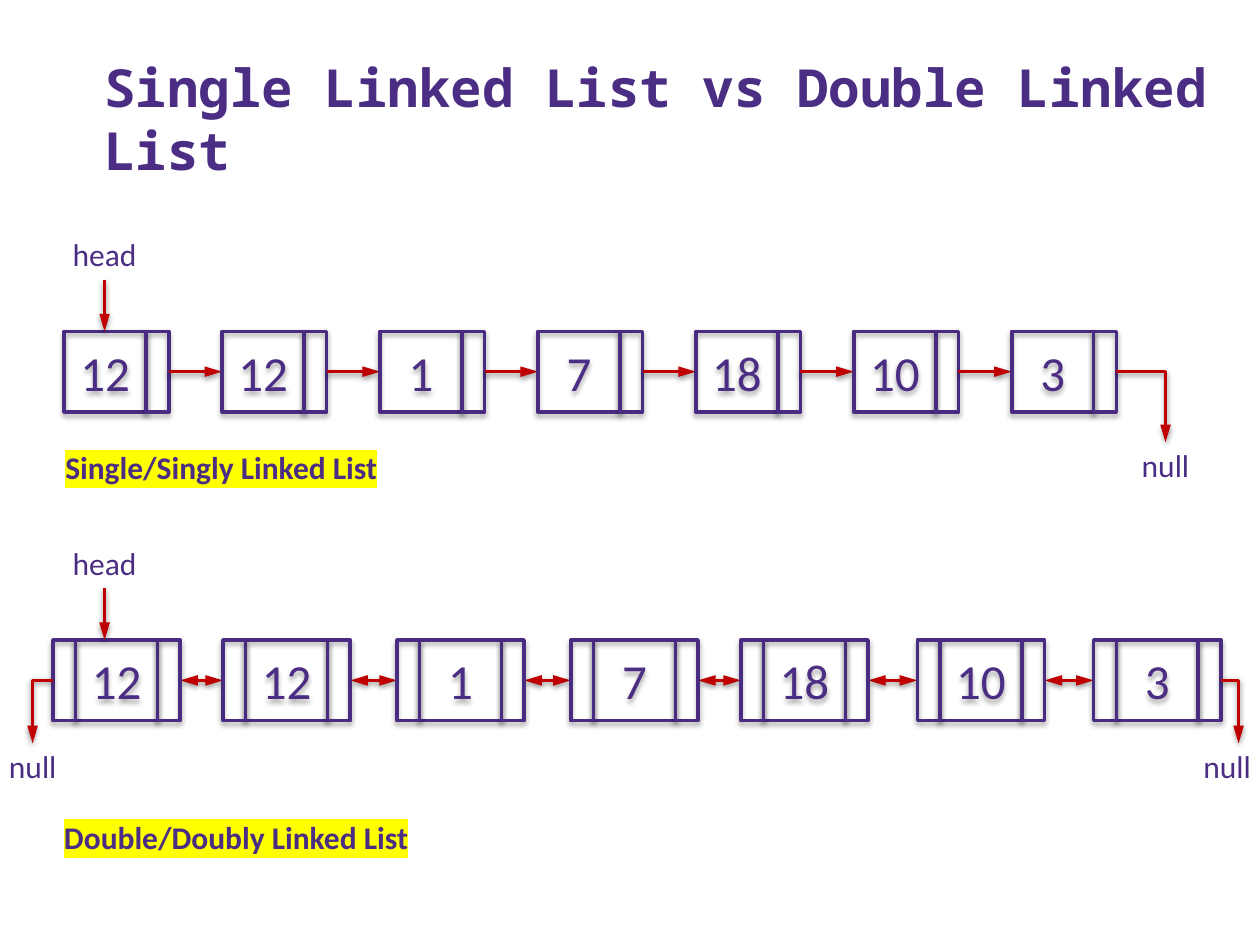
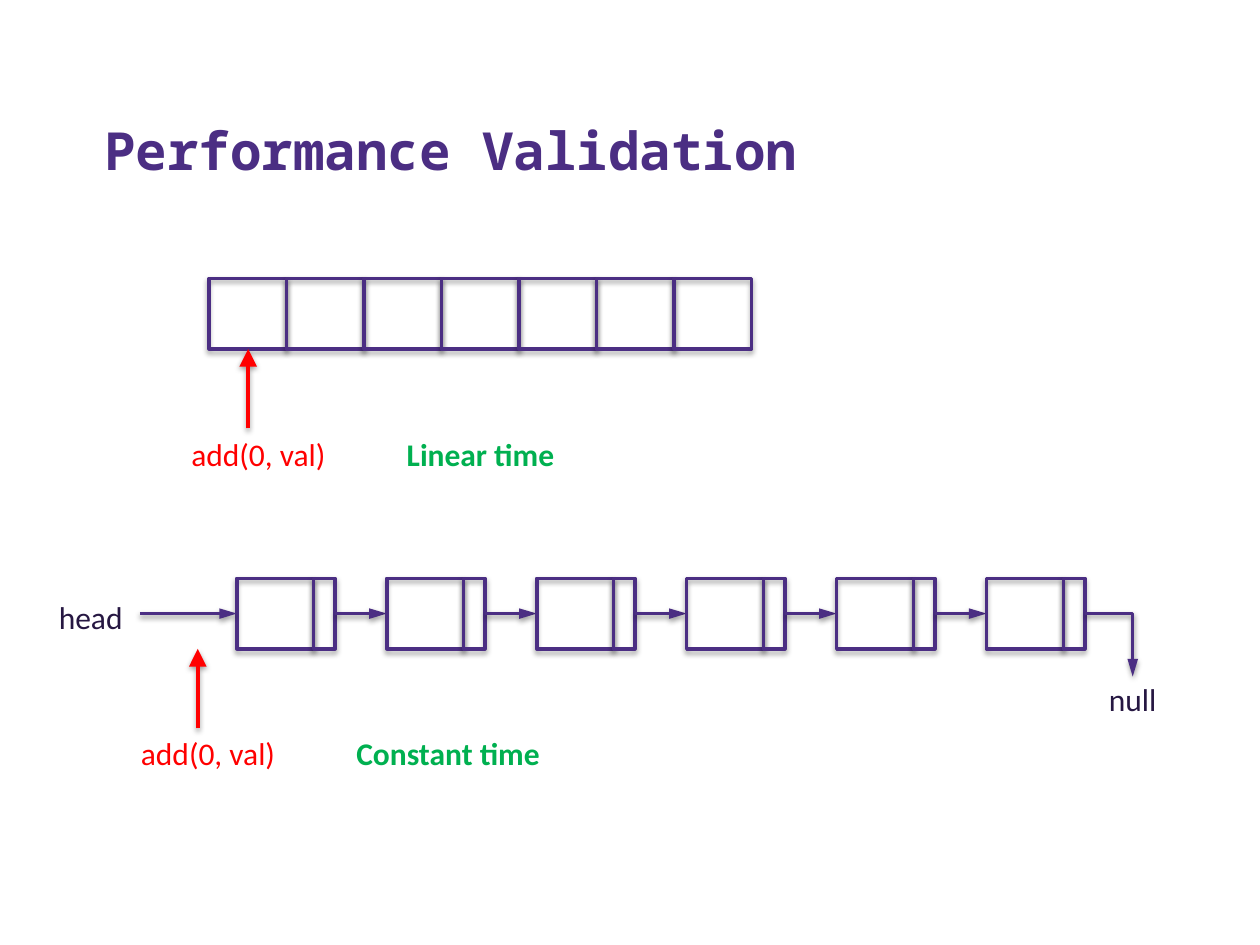
from lxml.etree import SubElement
from pptx import Presentation
from pptx.dml.color import RGBColor
from pptx.enum.shapes import MSO_CONNECTOR, MSO_SHAPE
from pptx.enum.text import MSO_ANCHOR, PP_ALIGN
from pptx.oxml.ns import qn
from pptx.util import Inches, Pt

COLORS = {
    "purple": "4B2E83",
    "node": "492B82",
    "dark": "261742",
    "link": "C00000",
    "red": "FF0000",
    "green": "00B050",
    "highlight": "FFFF00",
    "shadow": "000000",
}
TITLE_FONT = {"name": "Noto Sans Mono", "size": Pt(30), "bold": True}
LABEL_FONT = {"name": "Calibri", "size": Pt(18), "bold": False}
CAPTION_FONT = {**LABEL_FONT, "bold": True}
VALUE_FONT = {**LABEL_FONT, "size": Pt(28)}
TITLE_FRAME = {
    "word_wrap": True,
    "vertical_anchor": MSO_ANCHOR.BOTTOM,
    "margin_right": 0,
}
CENTERED_FRAME = {"word_wrap": False, "margin_left": 0, "margin_right": 0}
VALUE_FRAME = {**CENTERED_FRAME, "vertical_anchor": MSO_ANCHOR.MIDDLE}
LEFT = {"alignment": PP_ALIGN.LEFT}
CENTER = {"alignment": PP_ALIGN.CENTER}
VALUES = ["12", "12", "1", "7", "18", "10", "3"]


def set_attributes(target, values):
    for name, value in values.items():
        setattr(target, name, value)


def rgb(color):
    return RGBColor.from_string(COLORS[color])


def write(shape, text, font, color, frame, paragraph_format):
    set_attributes(shape.text_frame, frame)
    paragraph = shape.text_frame.paragraphs[0]
    set_attributes(paragraph, paragraph_format)
    run = paragraph.add_run()
    run.text = text
    set_attributes(run.font, font)
    run.font.color.rgb = rgb(color)
    return run


def add_text(shapes, box, text, font, color, frame, paragraph_format):
    textbox = shapes.add_textbox(*map(Inches, box))
    return write(textbox, text, font, color, frame, paragraph_format)


def add_title(slide, text):
    add_text(slide.shapes, (0.73, 0.41, 8.95, 1.08), text, TITLE_FONT, "purple",
             TITLE_FRAME, LEFT)


def add_label(shapes, center, top, text, color):
    add_text(shapes, (center - 0.26, top, 0.52, 0.4), text, LABEL_FONT, color,
             CENTERED_FRAME, CENTER)


def add_caption(shapes, left, top, text, color, font=CAPTION_FONT):
    return add_text(shapes, (left, top, 3, 0.4), text, font, color,
                    {"word_wrap": True}, LEFT)


def add_highlighted_caption(shapes, left, top, text):
    run = add_caption(shapes, left, top, text, "purple")
    properties = run.font._element
    highlight = SubElement(properties, qn("a:highlight"))
    SubElement(highlight, qn("a:srgbClr"), val=COLORS["highlight"])
    properties.find(qn("a:solidFill")).addnext(highlight)


def outline(shape, color, distance, opacity):
    shape.line.color.rgb = rgb(color)
    shape.line.width = Pt(2)
    effects = SubElement(shape.element.spPr, qn("a:effectLst"))
    shadow = SubElement(effects, qn("a:outerShdw"), blurRad=str(Pt(3.1)),
                        dist=str(Pt(distance)), dir="5400000", rotWithShape="0")
    shadow_color = SubElement(shadow, qn("a:srgbClr"), val=COLORS["shadow"])
    SubElement(shadow_color, qn("a:alpha"), val=str(opacity * 1000))


def add_cell(shapes, left, top, width, height, color, text=""):
    cell = shapes.add_shape(MSO_SHAPE.RECTANGLE, *map(Inches, (left, top, width, height)))
    cell.fill.background()
    outline(cell, color, 1.8, 35)
    if text:
        write(cell, text, VALUE_FONT, "purple", VALUE_FRAME, CENTER)


def add_arrow(shapes, start, end, color, ends=("tailEnd",), head_width="med",
              kind=MSO_CONNECTOR.STRAIGHT):
    arrow = shapes.add_connector(kind, *map(Inches, (*start, *end)))
    outline(arrow, color, 1.6, 38)
    line = arrow.element.spPr.find(qn("a:ln"))
    for line_end in ends:
        SubElement(line, qn(f"a:{line_end}"), type="triangle", w=head_width, len="lg")
    return arrow


def add_null(shapes, left, top, run, drop, arrow_color, text_color, label_shift=0):
    end_left, end_top = left + run, top + drop
    arrow = add_arrow(shapes, (left, top), (end_left, end_top), arrow_color,
                      kind=MSO_CONNECTOR.ELBOW)
    arrow.element.spPr.find(qn("a:prstGeom")).set("prst", "bentConnector2")
    add_label(shapes, end_left + label_shift, end_top - 0.02, "null", text_color)


def add_head_above(shapes, center, top):
    add_label(shapes, center, top - 0.81, "head", "purple")
    add_arrow(shapes, (center, top - 0.41), (center, top), "link")


def draw_single_list(shapes, left, top, values, pitch, cell, pointer, height,
                     node_color, arrow_color):
    middle = top + height / 2
    for index, value in enumerate(values):
        node_left = left + index * pitch
        pointer_left = node_left + cell
        add_cell(shapes, node_left, top, cell, height, node_color, value)
        add_cell(shapes, pointer_left, top, pointer, height, node_color)
        if index < len(values) - 1:
            add_arrow(shapes, (pointer_left + pointer, middle),
                      (node_left + pitch, middle), arrow_color)
    return pointer_left + pointer, middle


def draw_double_list(shapes, top, lefts, values):
    cell, pointer, height = 0.65, 0.18, 0.64
    width = cell + 2 * pointer
    middle = top + height / 2
    for left, following in zip(lefts, lefts[1:]):
        add_arrow(shapes, (left + width, middle), (following, middle), "link",
                  ends=("headEnd", "tailEnd"))
    for left, value in zip(lefts, values):
        add_cell(shapes, left + pointer, top, cell, height, "node", value)
        for pointer_left in (left, left + pointer + cell):
            add_cell(shapes, pointer_left, top, pointer, height, "node")
    add_head_above(shapes, lefts[0] + 0.41, top)
    add_null(shapes, lefts[0], middle, -0.16, 0.5, "link", "purple")
    add_null(shapes, lefts[-1] + width, middle, 0.14, 0.5, "link", "purple",
             label_shift=-0.09)


def draw_array(shapes, left, top, count):
    pitch = 0.615
    for index in range(count):
        add_cell(shapes, left + index * pitch, top, pitch, 0.56, "purple")


def draw_insertion(shapes, left, top, cost):
    center, text_top = left + 0.55, top + 0.63
    add_arrow(shapes, (center, text_top), (center, top), "red", head_width="lg")
    add_caption(shapes, left, text_top, "add(0, val)", "red", LABEL_FONT)
    add_caption(shapes, left + 1.71, text_top, cost, "green")


def build_comparison_slide(slide):
    add_title(slide, "Single Linked List vs Double Linked List")
    single = slide.shapes.add_group_shape().shapes
    left, top, last_left = 0.51, 2.63, 8.03
    pitch = (last_left - left) / (len(VALUES) - 1)
    end = draw_single_list(single, left, top, VALUES, pitch, 0.65, 0.18, 0.64,
                           "node", "link")
    add_head_above(single, left + 0.32, top)
    add_null(single, *end, 0.39, 0.56, "link", "purple")
    add_highlighted_caption(slide.shapes, 0.42, 3.51, "Single/Singly Linked List")

    double = slide.shapes.add_group_shape().shapes
    draw_double_list(double, 5.08, [0.42, 1.77, 3.15, 4.53, 5.88, 7.28, 8.68], VALUES)
    add_highlighted_caption(slide.shapes, 0.41, 6.44, "Double/Doubly Linked List")


def build_performance_slide(slide):
    add_title(slide, "Performance Validation")
    draw_array(slide.shapes.add_group_shape().shapes, 1.66, 2.21, 7)
    draw_insertion(slide.shapes, 1.42, 2.77, "Linear time")

    linked = slide.shapes.add_group_shape().shapes
    left, top, height = 1.88, 4.59, 0.56
    end = draw_single_list(linked, left, top, [""] * 6, 1.19, 0.61, 0.17, height,
                           "purple", "purple")
    middle = top + height / 2
    add_label(linked, left - 1.16, top + 0.11, "head", "dark")
    add_arrow(linked, (left - 0.77, middle), (left, middle), "purple")
    add_null(linked, *end, 0.38, 0.5, "purple", "dark")
    draw_insertion(slide.shapes, 1.02, 5.15, "Constant time")


def main():
    presentation = Presentation()
    presentation.slide_width = Inches(10)
    presentation.slide_height = Inches(7.5)
    for build in (build_comparison_slide, build_performance_slide):
        build(presentation.slides.add_slide(presentation.slide_layouts[6]))
    presentation.save("out.pptx")


if __name__ == "__main__":
    main()
